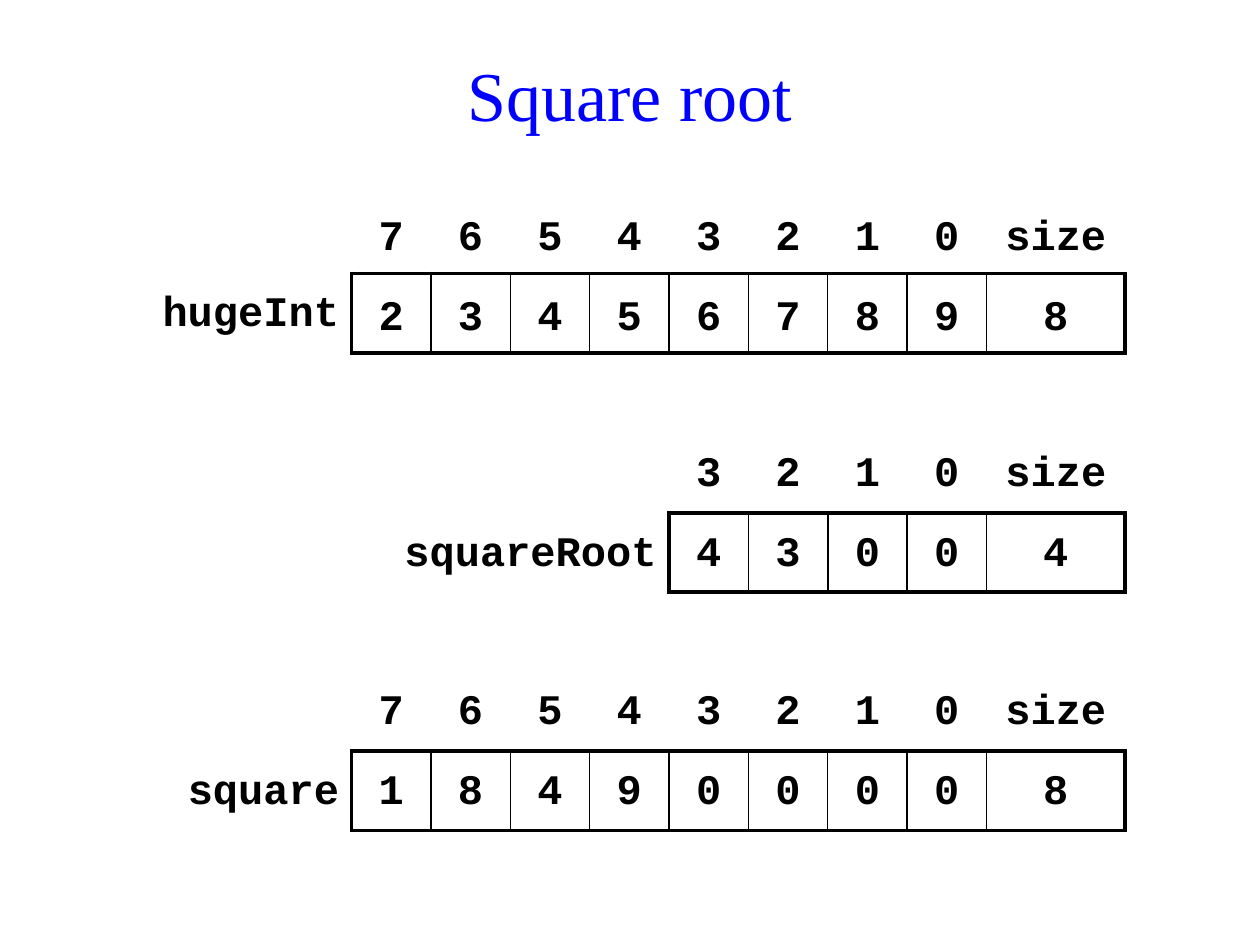
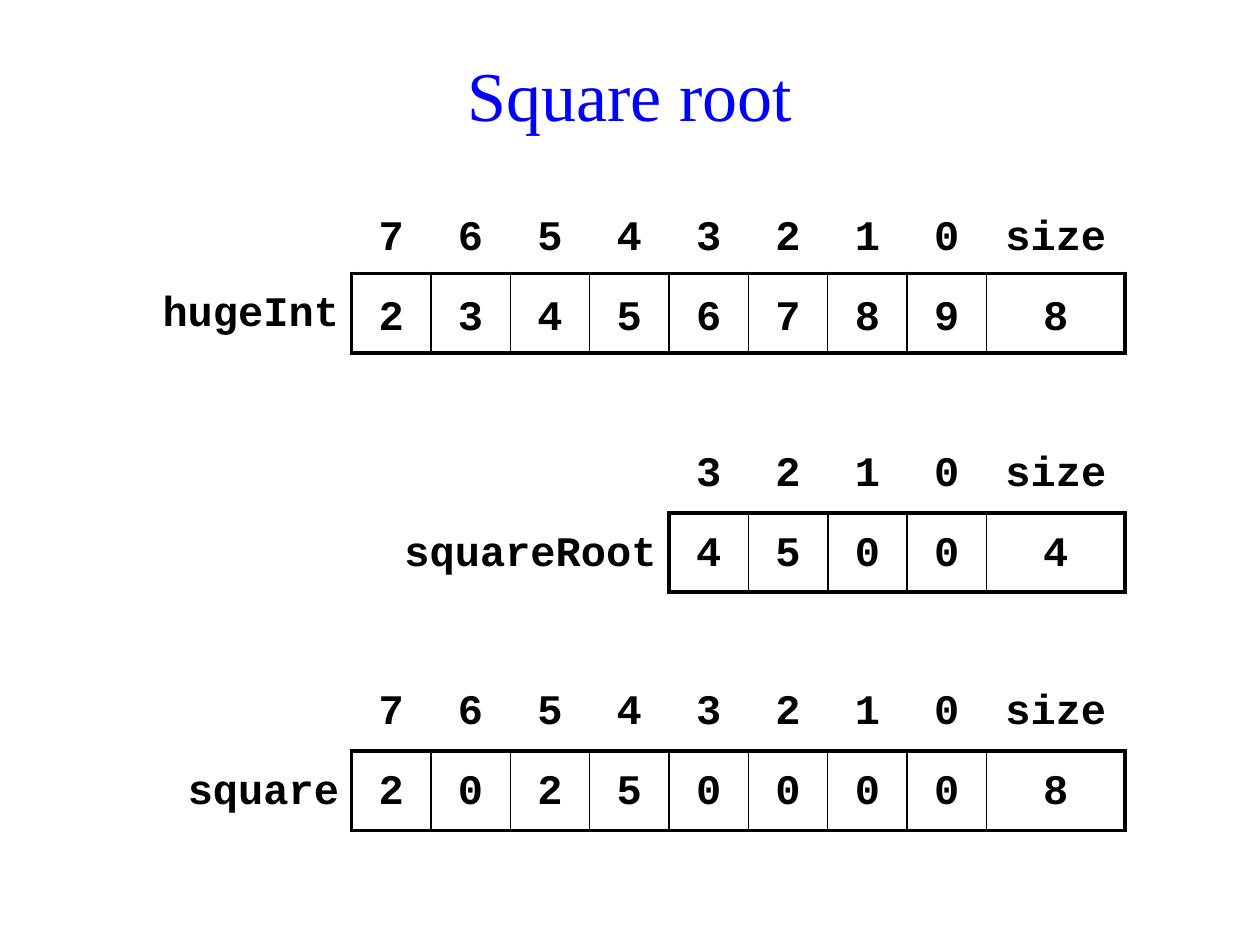
"""Builds two slides that trace the square root of a huge integer."""
import lxml.etree
import pptx
import pptx.dml.color
import pptx.enum.text
import pptx.oxml.ns
import pptx.util

Inches, Pt = pptx.util.Inches, pptx.util.Pt
ALIGN = pptx.enum.text.PP_ALIGN
ANCHOR = pptx.enum.text.MSO_ANCHOR
qn = pptx.oxml.ns.qn

TITLE = "Square root"
STEPS = [
    {"hugeInt": "23456789", "squareRoot": "4300", "square": "18490000"},
    {"hugeInt": "23456789", "squareRoot": "4500", "square": "20250000"},
]
ARRAYS = [
    {"name": "hugeInt", "top": 1.54, "label": 1.73, "anchor": ANCHOR.MIDDLE},
    {"name": "squareRoot", "top": 3.44, "label": 2.2, "anchor": ANCHOR.TOP},
    {"name": "square", "top": 5.33, "label": 1.42, "anchor": ANCHOR.TOP},
]
COLORS = {"title": "0000FF", "ink": "000000"}
FONTS = {"title": "Times New Roman", "code": "Courier New"}
RIGHT, CELL, SIZE_WIDTH = 8.93, 0.63, 1.1
OUTER, INNER = 2.25, 1
NO_STYLE = "{2D5ABB26-0587-4C30-8999-92F81FD0307C}"


def write(frame, text, align, font, size, color, bold=False):
    frame.text = text
    paragraph = frame.paragraphs[0]
    paragraph.alignment = align
    for run in paragraph.runs:
        run.font.name, run.font.size, run.font.bold = font, Pt(size), bold
        run.font.color.rgb = pptx.dml.color.RGBColor.from_string(COLORS[color])
    return paragraph


def add_title(slide):
    frame = slide.shapes.add_textbox(
        Inches(0.59), Inches(0.28), Inches(8.82), Inches(0.93)).text_frame
    frame.word_wrap = True
    frame.vertical_anchor = ANCHOR.MIDDLE
    write(frame, TITLE, ALIGN.CENTER, FONTS["title"], 40, "title")


def set_borders(cell, widths):
    properties = cell._tc.get_or_add_tcPr()
    for side in "LRTB":
        if side in widths:
            line = lxml.etree.SubElement(
                properties, qn("a:ln" + side), w=str(Pt(widths[side])))
            fill = lxml.etree.SubElement(line, qn("a:solidFill"))
            lxml.etree.SubElement(fill, qn("a:srgbClr"), val=COLORS["ink"])


def borders(row, column, last):
    if row == 0:
        return {}
    if column == 0:
        return {"R": OUTER}
    return {"L": OUTER if column == 1 else INNER,
            "R": OUTER if column == last else INNER,
            "T": OUTER, "B": OUTER}


def add_array(slide, array, digits):
    count = len(digits)
    rows = [["", *map(str, reversed(range(count))), "size"],
            [array["name"], *digits, str(count)]]
    widths = [array["label"], *[CELL] * count, SIZE_WIDTH]
    table = slide.shapes.add_table(
        2, len(widths), Inches(RIGHT - sum(widths)), Inches(array["top"]),
        Inches(sum(widths)), Inches(2 * CELL)).table
    table.first_row = table.horz_banding = False
    table._tbl.tblPr.find(qn("a:tableStyleId")).text = NO_STYLE
    for column, width in zip(table.columns, widths):
        column.width = Inches(width)
    for r, texts in enumerate(rows):
        table.rows[r].height = Inches(CELL)
        for c, text in enumerate(texts):
            cell = table.cell(r, c)
            set_borders(cell, borders(r, c, len(widths) - 1))
            cell.fill.background()
            cell.vertical_anchor = array["anchor"] if c else ANCHOR.TOP
            paragraph = write(
                cell.text_frame, text, ALIGN.CENTER if c else ALIGN.RIGHT,
                FONTS["code"], 24, "ink", True)
            paragraph.line_spacing = 1.25


deck = pptx.Presentation()
deck.slide_width, deck.slide_height = Inches(10), Inches(7.5)
for step in STEPS:
    slide = deck.slides.add_slide(deck.slide_layouts[6])
    add_title(slide)
    for array in ARRAYS:
        add_array(slide, array, step[array["name"]])
deck.save("out.pptx")
